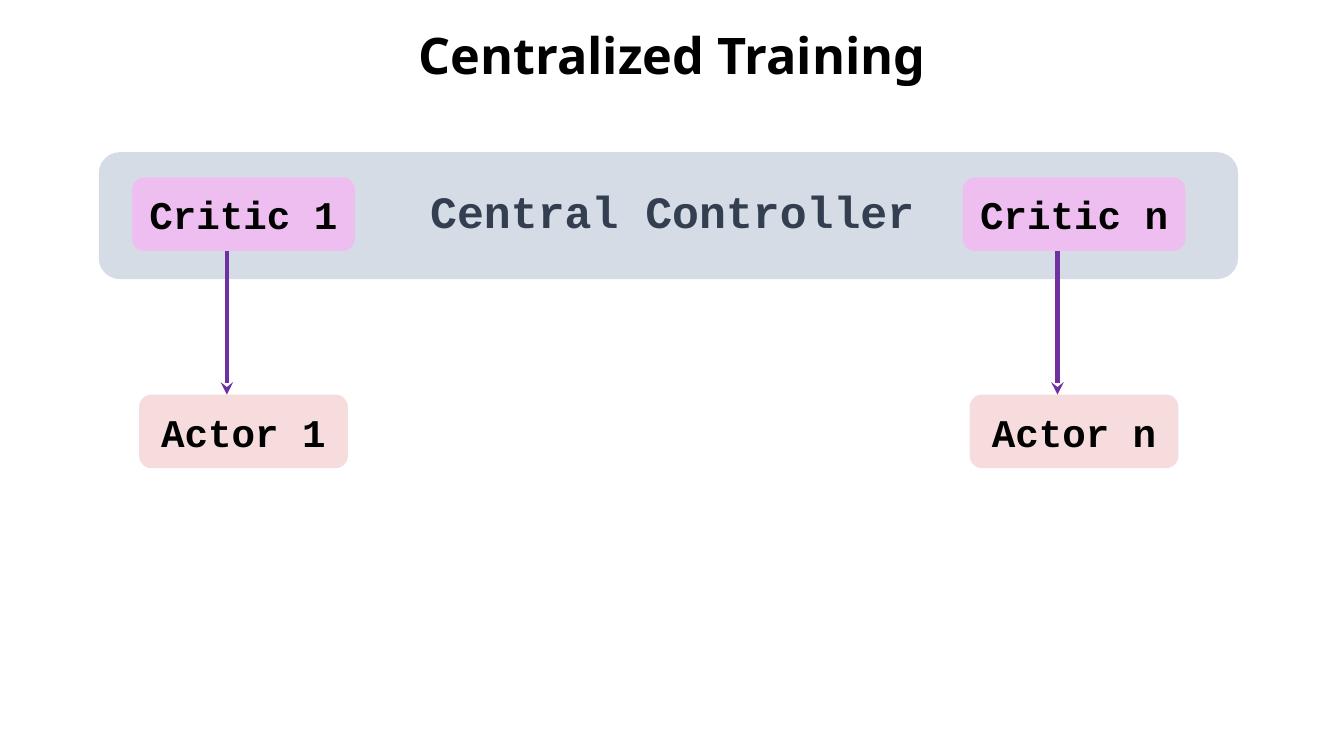
from dataclasses import dataclass

from pptx import Presentation
from pptx.dml.color import RGBColor
from pptx.enum.shapes import MSO_CONNECTOR, MSO_SHAPE
from pptx.enum.text import MSO_ANCHOR, MSO_AUTO_SIZE, PP_ALIGN
from pptx.oxml.ns import qn
from pptx.shapes.autoshape import Shape
from pptx.slide import Slide
from pptx.text.text import TextFrame
from pptx.util import Inches, Length, Pt
from lxml.etree import SubElement


@dataclass(frozen=True)
class TextStyle:
    font: str
    size: float
    color: str


@dataclass(frozen=True)
class Theme:
    controller: str = "D6DCE5"
    critic: str = "EFBEF0"
    actor: str = "F6DCDD"
    arrow: str = "7030A0"
    arrow_width: float = 3
    title: TextStyle = TextStyle("Noto Sans", 36, "000000")
    label: TextStyle = TextStyle("Courier New", 32, "333F50")
    node: TextStyle = TextStyle("Courier New", 28, "000000")


@dataclass(frozen=True)
class Area:
    """A rectangle in percent of the slide's width and height."""
    left: float
    top: float
    width: float
    height: float


@dataclass(frozen=True)
class Role:
    name: str
    fill: str
    top: float
    width: float


THEME = Theme()
SLIDE_WIDTH, SLIDE_HEIGHT = Inches(13.33), Inches(7.5)

TITLE_AREA = Area(0, 0.13, 100, 15.07)
CONTROLLER_AREA = Area(7.35, 20.13, 84.77, 16.8)
LABEL_AREA = Area(31.81, 24.27, 36.46, 7.2)

NODE_HEIGHT = 9.73
AGENT_CENTERS = {"1": 18.12, "n": 79.92}
ARROW_SHIFT = -1.24
CRITIC = Role("Critic", THEME.critic, 23.47, 16.58)
ACTOR = Role("Actor", THEME.actor, 52.2, 15.53)


def across(percent: float) -> Length:
    return Length(round(SLIDE_WIDTH * percent / 100))


def down(percent: float) -> Length:
    return Length(round(SLIDE_HEIGHT * percent / 100))


def bounds(area: Area) -> tuple[Length, Length, Length, Length]:
    return across(area.left), down(area.top), across(area.width), down(area.height)


def write(frame: TextFrame, text: str, style: TextStyle) -> None:
    frame.vertical_anchor = MSO_ANCHOR.MIDDLE
    paragraph = frame.paragraphs[0]
    paragraph.text = text
    paragraph.alignment = PP_ALIGN.CENTER
    font = paragraph.runs[0].font
    formats = {"name": style.font, "size": Pt(style.size), "bold": True}
    for name, value in formats.items():
        setattr(font, name, value)
    font.color.rgb = RGBColor.from_string(style.color)


def add_panel(slide: Slide, area: Area, fill: str) -> Shape:
    shape = slide.shapes.add_shape(MSO_SHAPE.ROUNDED_RECTANGLE, *bounds(area))
    shape.shadow.inherit = False
    shape.fill.solid()
    shape.fill.fore_color.rgb = RGBColor.from_string(fill)
    shape.line.fill.background()
    return shape


def add_node(slide: Slide, role: Role, agent: str, center: float) -> None:
    area = Area(center - role.width / 2, role.top, role.width, NODE_HEIGHT)
    shape = add_panel(slide, area, role.fill)
    write(shape.text_frame, f"{role.name} {agent}", THEME.node)


def add_arrow(slide: Slide, x: float, start: float, end: float) -> None:
    connector = slide.shapes.add_connector(
        MSO_CONNECTOR.STRAIGHT, across(x), down(start), across(x), down(end))
    connector.line.color.rgb = RGBColor.from_string(THEME.arrow)
    connector.line.width = Pt(THEME.arrow_width)
    SubElement(connector.line._get_or_add_ln(), qn("a:tailEnd"), type="stealth")
    SubElement(connector._element.spPr, qn("a:effectLst"))


def add_title(slide: Slide, text: str) -> None:
    title = slide.shapes.title
    title.left, title.top, title.width, title.height = bounds(TITLE_AREA)
    write(title.text_frame, text, THEME.title)
    title.text_frame.paragraphs[0].line_spacing = 0.9


def add_label(slide: Slide, text: str) -> None:
    frame = slide.shapes.add_textbox(*bounds(LABEL_AREA)).text_frame
    formats = {"margin_left": 0, "margin_top": 0, "margin_right": 0, "margin_bottom": 0,
               "word_wrap": False, "auto_size": MSO_AUTO_SIZE.SHAPE_TO_FIT_TEXT}
    for name, value in formats.items():
        setattr(frame, name, value)
    write(frame, text, THEME.label)


def main() -> None:
    presentation = Presentation()
    presentation.slide_width, presentation.slide_height = SLIDE_WIDTH, SLIDE_HEIGHT
    slide = presentation.slides.add_slide(presentation.slide_layouts.get_by_name("Title Only"))

    add_title(slide, "Centralized Training")
    add_panel(slide, CONTROLLER_AREA, THEME.controller)
    for agent, center in AGENT_CENTERS.items():
        for role in (ACTOR, CRITIC):
            add_node(slide, role, agent, center)
        add_arrow(slide, center + ARROW_SHIFT, CRITIC.top + NODE_HEIGHT, ACTOR.top)
    add_label(slide, "Central Controller")

    presentation.save("out.pptx")


if __name__ == "__main__":
    main()
